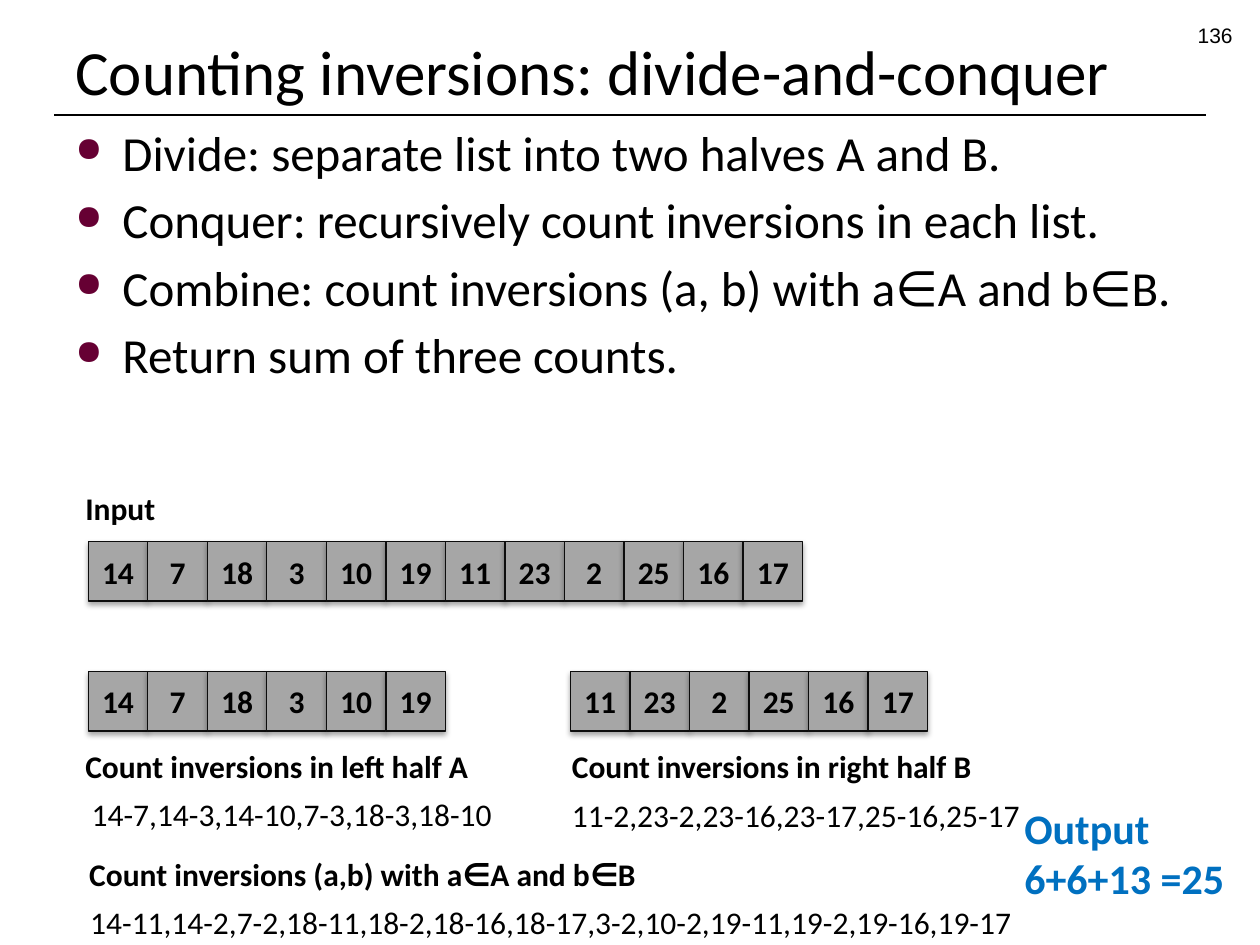
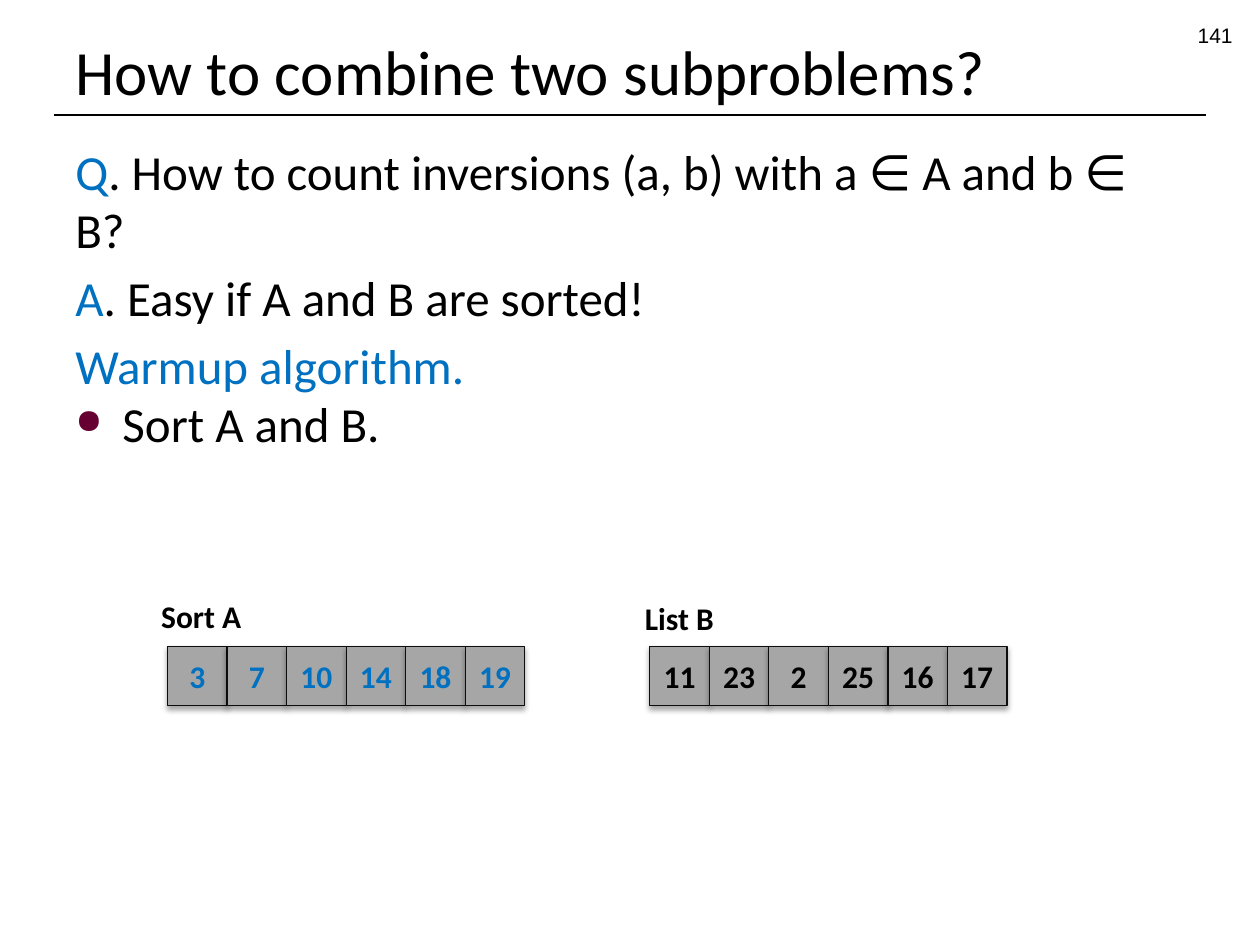
"""Build two slides on counting inversions by divide and conquer."""
from lxml.etree import SubElement
from pptx import Presentation
from pptx.dml.color import RGBColor
from pptx.enum.shapes import MSO_CONNECTOR as Connector, MSO_SHAPE as Shape
from pptx.enum.text import MSO_ANCHOR as Anchor, MSO_AUTO_SIZE as AutoSize, PP_ALIGN as Align
from pptx.oxml import parse_xml
from pptx.oxml.ns import nsdecls, qn
from pptx.util import Cm, Pt

rgb = RGBColor.from_string
BLACK, BLUE, GREY, EDGE, BULLET = "000000", "0070C0", "A6A6A6", "0D0D0D", "660033"
CELL = 1.2
LABEL_HEIGHT = 1.02
SHADOW = (
    f'<a:outerShdw {nsdecls("a")} blurRad="40000" dist="23000" dir="5400000" rotWithShape="0">'
    f'<a:srgbClr val="{BLACK}"><a:alpha val="35000"/></a:srgbClr></a:outerShdw>'
)


def add_text(page, left, top, width, height, lines, size, color=BLACK, bold=False, font="Calibri", wrap=True):
    """Add a text box with one paragraph per line and return its frame."""
    frame = page.shapes.add_textbox(Cm(left), Cm(top), Cm(width), Cm(height)).text_frame
    frame.word_wrap = wrap
    frame.auto_size = AutoSize.NONE if wrap else AutoSize.SHAPE_TO_FIT_TEXT
    for index, line in enumerate(lines):
        para = frame.paragraphs[0] if index == 0 else frame.add_paragraph()
        para.text = line
        para.font.name, para.font.size, para.font.bold = font, Pt(size), bold
        para.font.color.rgb = rgb(color)
    return frame


def add_row(shapes, left, top, numbers, color=BLACK):
    """Add a row of touching square cells, one per number."""
    for index, number in enumerate(numbers):
        cell = shapes.add_shape(Shape.RECTANGLE, Cm(left + index * CELL), Cm(top), Cm(CELL), Cm(CELL))
        cell.fill.solid()
        cell.fill.fore_color.rgb = rgb(GREY)
        cell.line.color.rgb = rgb(EDGE)
        cell.line.width = Pt(0.75)
        cell.shadow.inherit = False
        cell._element.spPr.find(qn("a:effectLst")).append(parse_xml(SHADOW))
        frame = cell.text_frame
        frame.word_wrap = False
        frame.vertical_anchor = Anchor.MIDDLE
        para = frame.paragraphs[0]
        para.text = str(number)
        para.alignment = Align.CENTER
        para.font.name, para.font.size, para.font.bold = "Calibri", Pt(18), True
        para.font.color.rgb = rgb(color)


deck = Presentation()
deck.slide_width, deck.slide_height = Cm(25.4), Cm(19.05)

outlines = [
    ("Counting inversions: divide-and-conquer", "136", 2.34, [
        (True, 5, "", "Divide: separate list into two halves A and B."),
        (True, 5, "", "Conquer: recursively count inversions in each list."),
        (True, 5, "", "Combine: count inversions (a, b) with a∈A and b∈B."),
        (True, 5, "", "Return sum of three counts."),
    ]),
    ("How to combine two subproblems?", "141", 2.72, [
        (False, 5, "Q", ". How to count inversions (a, b) with a ∈ A and b ∈ B?"),
        (False, 5, "A", ". Easy if A and B are sorted!"),
        (False, 5, "Warmup algorithm.", ""),
        (True, 0, "", "Sort A and B."),
    ]),
]

pages = []
for title, number, body_top, points in outlines:
    page = deck.slides.add_slide(deck.slide_layouts[6])
    pages.append(page)
    rule = page.shapes.add_connector(Connector.STRAIGHT, Cm(1.09), Cm(2.32), Cm(24.31), Cm(2.32))
    rule.line.color.rgb = rgb(BLACK)
    rule.line.width = Pt(0.75)
    SubElement(rule._element.spPr, qn("a:effectLst"))

    body = add_text(page, 1.27, body_top, 22.86, 18.52 - body_top, [""] * len(points), 28)
    for para, (bulleted, space, lead, rest) in zip(body.paragraphs, points):
        para.space_before = Pt(space)
        for words, color in ((lead, BLUE), (rest, BLACK)):
            if words:
                span = para.add_run()
                span.text = words
                span.font.color.rgb = rgb(color)
        if bulleted:
            properties = para._p.get_or_add_pPr()
            properties.set("marL", str(Cm(0.95)))
            properties.set("indent", str(-Cm(0.95)))
            defaults = properties.find(qn("a:defRPr"))
            for mark in (
                f'<a:buClr {nsdecls("a")}><a:srgbClr val="{BULLET}"/></a:buClr>',
                f'<a:buSzPct {nsdecls("a")} val="70000"/>',
                f'<a:buChar {nsdecls("a")} char="●"/>',
            ):
                defaults.addprevious(parse_xml(mark))

    heading = add_text(page, 1.27, 0.33, 23.83, 1.98, [title], 36)
    heading.vertical_anchor = Anchor.BOTTOM
    folio = add_text(page, 19.18, 0.33, 5.92, 0.71, [number], 12, font="Arial")
    folio.paragraphs[0].alignment = Align.RIGHT

divide_page, combine_page = pages
left_half = [14, 7, 18, 3, 10, 19]
right_half = [11, 23, 2, 25, 16, 17]

add_row(divide_page.shapes, 1.78, 10.92, left_half + right_half)
add_row(divide_page.shapes, 1.78, 13.54, left_half)
add_row(divide_page.shapes, 11.5, 13.54, right_half)
add_row(combine_page.shapes.add_group_shape().shapes, 3.38, 13.03, sorted(left_half), BLUE)
add_row(combine_page.shapes.add_group_shape().shapes, 13.1, 13.03, right_half)

for page, left, top, width, bold, label in [
    (divide_page, 1.47, 9.73, 1.93, True, "Input"),
    (divide_page, 1.47, 14.94, 8.31, True, "Count inversions in left half A"),
    (divide_page, 11.28, 14.94, 8.66, True, "Count inversions in right half B"),
    (divide_page, 1.55, 17.12, 11.76, True, "Count inversions (a,b) with a∈A and b∈B"),
    (divide_page, 1.6, 15.9, 8.66, False, "14-7,14-3,14-10,7-3,18-3,18-10"),
    (divide_page, 11.28, 15.93, 9.65, False, "11-2,23-2,23-16,23-17,25-16,25-17"),
    (divide_page, 1.57, 18.08, 19.28, False,
     "14-11,14-2,7-2,18-11,18-2,18-16,18-17,3-2,10-2,19-11,19-2,19-16,19-17"),
    (combine_page, 3, 11.91, 2.13, True, "Sort A"),
    (combine_page, 12.75, 11.96, 1.9, True, "List B"),
]:
    add_text(page, left, top, width, LABEL_HEIGHT, [label], 18, bold=bold, wrap=False)

add_text(divide_page, 20.4, 16.05, 4.88, 2.31, ["Output", "6+6+13 =25"], 24, BLUE, True)

deck.save("out.pptx")
